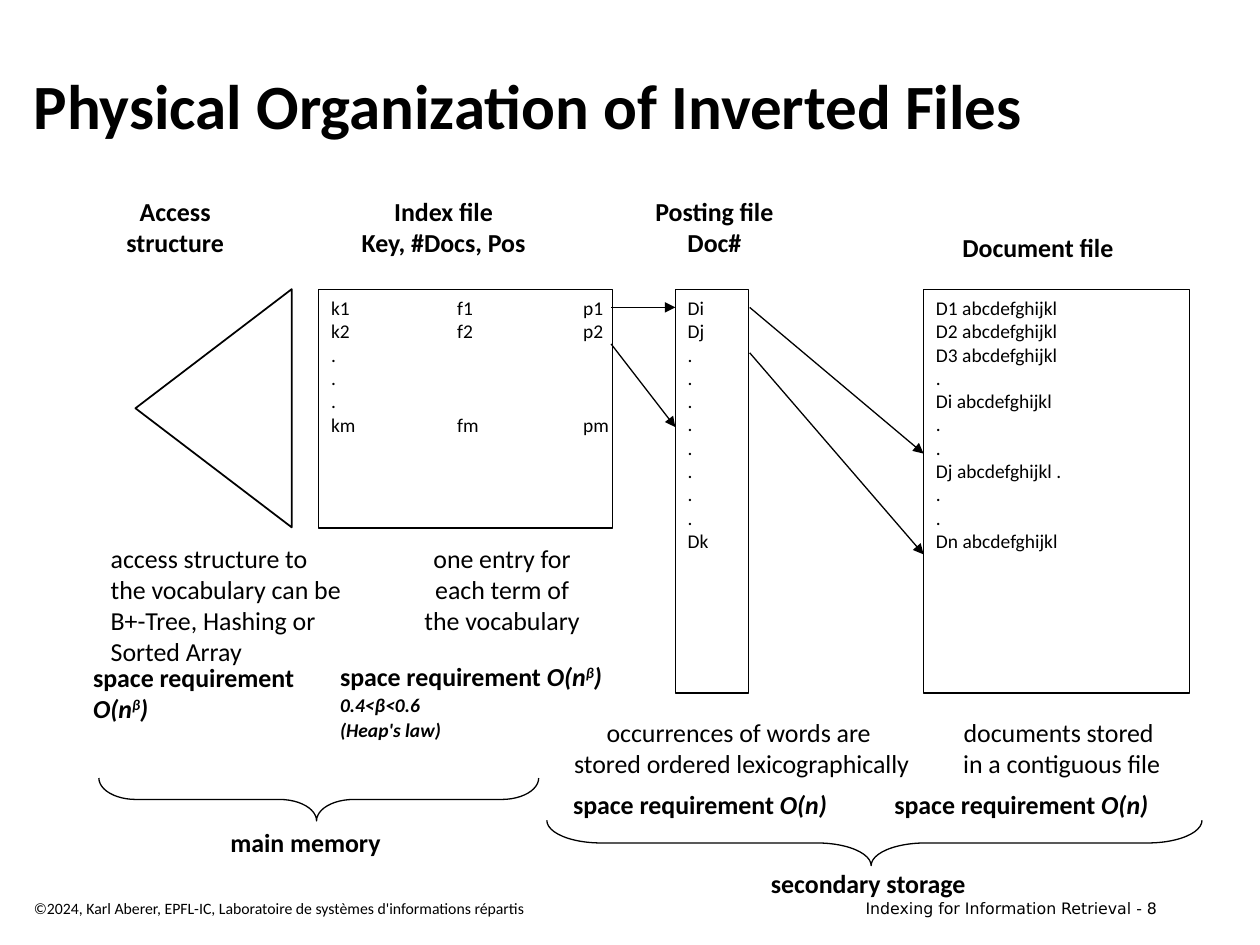
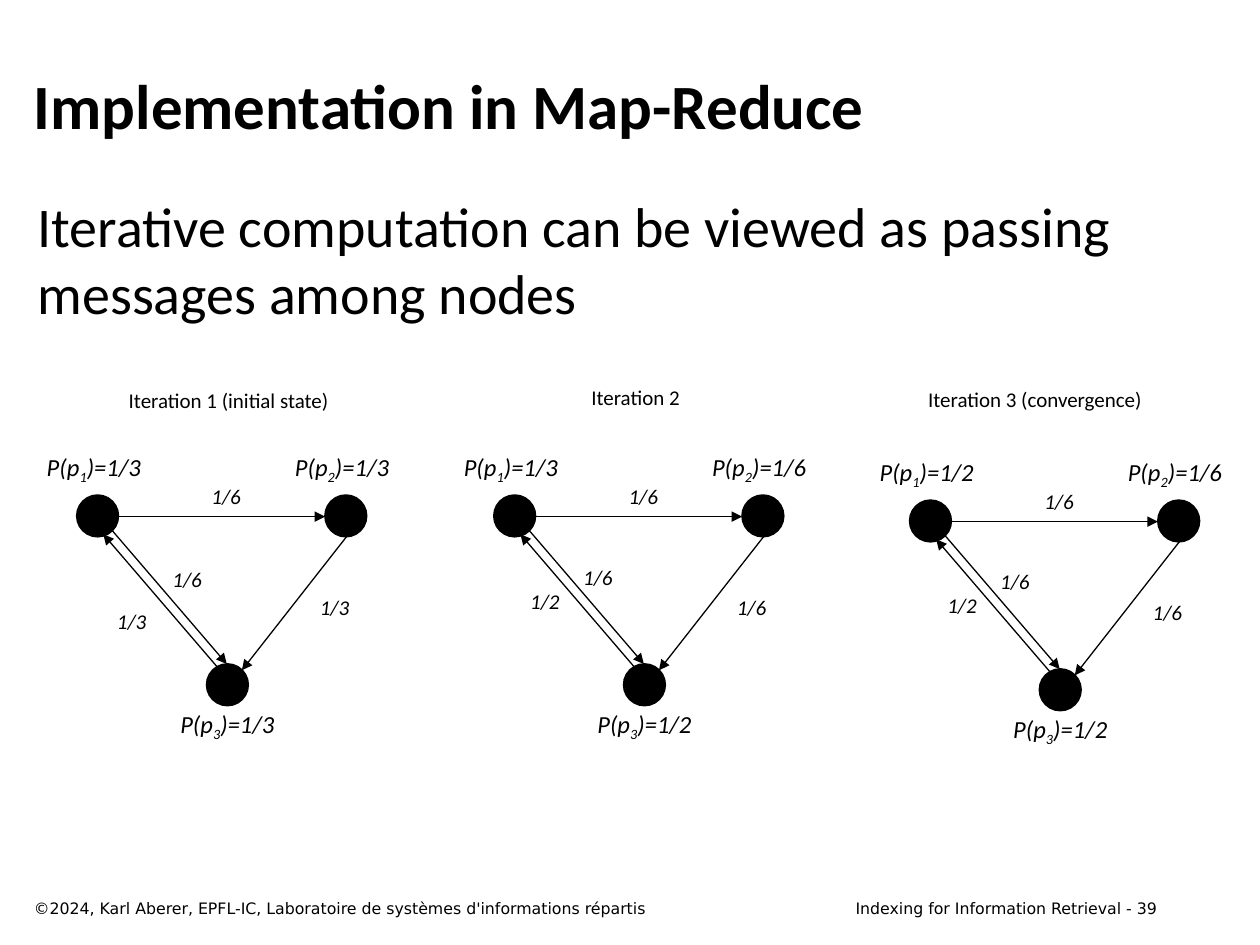
"""Build two slides on inverted file organization and iterative map-reduce."""
import pptx
import pptx.dml.color
import pptx.enum.shapes
import pptx.enum.text
import pptx.oxml
import pptx.oxml.ns
import pptx.util

Inches = pptx.util.Inches
Pt = pptx.util.Pt
SHAPE = pptx.enum.shapes.MSO_SHAPE
LEFT, CENTER, RIGHT = (pptx.enum.text.PP_ALIGN.LEFT, pptx.enum.text.PP_ALIGN.CENTER,
                       pptx.enum.text.PP_ALIGN.RIGHT)
TOP, MIDDLE = pptx.enum.text.MSO_ANCHOR.TOP, pptx.enum.text.MSO_ANCHOR.MIDDLE
FIT = pptx.enum.text.MSO_AUTO_SIZE.SHAPE_TO_FIT_TEXT
FIXED = pptx.enum.text.MSO_AUTO_SIZE.NONE
NAMESPACE = pptx.oxml.ns.nsdecls("a")

COLORS = {"ink": "000000"}
INK = pptx.dml.color.RGBColor.from_string(COLORS["ink"])
TEXT, SYSTEM = "Calibri", "DejaVu Sans"
TITLE = {"size": Pt(36), "bold": True}
BODY = {"size": Pt(32)}
HEADING = {"size": Pt(14.8), "bold": True}
NOTE = {"size": Pt(14.8)}
ENTRY = {"size": Pt(11.1)}
STATE = {"size": Pt(14), "italic": True}
WEIGHT = {"size": Pt(12), "italic": True}
CAPTION = {"size": Pt(12)}
ITALIC = {"italic": True}
SUPERSCRIPT = {"italic": True, "baseline": 30000}
SMALL = {"italic": True, "size": Pt(11.1)}


def write(frame, paragraphs, font, align=LEFT, wrap=False, fit=FIT, anchor=TOP, spacing=None,
          columns=()):
    frame_format = {"word_wrap": wrap, "auto_size": fit, "vertical_anchor": anchor}
    for name, value in frame_format.items():
        setattr(frame, name, value)
    for index, runs in enumerate(paragraphs):
        paragraph = frame.paragraphs[0] if index == 0 else frame.add_paragraph()
        paragraph.alignment = align
        paragraph.line_spacing = spacing
        if spacing and index:
            paragraph.space_before = Pt(2.2)
        if columns:
            stops = "".join(f'<a:tab pos="{Inches(stop)}" algn="l"/>' for stop in columns)
            paragraph._p.get_or_add_pPr().append(
                pptx.oxml.parse_xml(f"<a:tabLst {NAMESPACE}>{stops}</a:tabLst>"))
        for words, changes in [(runs, {})] if isinstance(runs, str) else runs:
            run = paragraph.add_run()
            run.text = words
            run.font.color.rgb = INK
            for name, value in ({"name": TEXT} | font | changes).items():
                if name == "baseline":
                    run.font._element.set(name, str(value))
                else:
                    setattr(run.font, name, value)


def add_arrow(slide, start, end):
    arrow = slide.shapes.add_connector(
        pptx.enum.shapes.MSO_CONNECTOR.STRAIGHT, *map(Inches, start + end))
    arrow.line.color.rgb = INK
    arrow.line.width = Pt(0.75)
    arrow.line._get_or_add_ln().append(
        pptx.oxml.parse_xml(f'<a:tailEnd {NAMESPACE} type="triangle"/>'))
    arrow._element.spPr.append(pptx.oxml.parse_xml(f"<a:effectLst {NAMESPACE}/>"))


deck = pptx.Presentation()
deck.slide_width, deck.slide_height = Inches(10), Inches(7.5)
slides = []
for title, number, copyright_font in [
    ("Physical Organization of Inverted Files", 8, TEXT),
    ("Implementation in Map-Reduce", 39, SYSTEM),
]:
    slide = deck.slides.add_slide(deck.slide_layouts[6])
    slides.append(slide)
    copyright_line = "©2024, Karl Aberer, EPFL-IC, Laboratoire de systèmes d'informations répartis"
    for box, words, font, align, anchor in [
        ((0.17, 0.33, 9.08, 1), title, TITLE, LEFT, MIDDLE),
        ((0.17, 7.08, 6.42, 0.25), copyright_line,
         {"size": Pt(9), "name": copyright_font}, LEFT, TOP),
        ((6.37, 7.08, 2.91, 0.25), f"Indexing for Information Retrieval - {number}",
         {"size": Pt(9), "name": SYSTEM}, RIGHT, TOP),
    ]:
        label = slide.shapes.add_textbox(*map(Inches, box))
        write(label.text_frame, [words], font, align, wrap=True, fit=FIXED, anchor=anchor)
files_slide, reduce_slide = slides

index_entries = ["k1\tf1\tp1", "k2\tf2\tp2", ".", ".", ".", "km\tfm\tpm"]
postings = ["Di", "Dj"] + ["."] * 8 + ["Dk"]
documents = ["D1 abcdefghijkl", "D2 abcdefghijkl", "D3 abcdefghijkl", ".", "Di abcdefghijkl",
             ".", ".", "Dj abcdefghijkl .", ".", ".", "Dn abcdefghijkl"]
for preset, box, entries, columns, width, rotation, adjustments in [
    (SHAPE.RECTANGLE, (2.53, 2.3, 2.33, 1.89), index_entries, (1, 2), 0.75, 0, []),
    (SHAPE.RECTANGLE, (5.36, 2.3, 0.58, 3.2), postings, (), 0.75, 0, []),
    (SHAPE.RECTANGLE, (7.33, 2.3, 2.11, 3.2), documents, (), 0.75, 0, []),
    (SHAPE.ISOSCELES_TRIANGLE, (0.75, 2.62, 1.89, 1.24), [], (), 1, 270, [0.5]),
    (SHAPE.LEFT_BRACE, (2.36, 4.6, 0.34, 3.49), [], (), 0.75, 270, [0.863, 0.495]),
    (SHAPE.LEFT_BRACE, (6.76, 4.09, 0.36, 5.2), [], (), 0.75, 270, [1.196, 0.495]),
]:
    part = files_slide.shapes.add_shape(preset, *map(Inches, box))
    part.shadow.inherit = False
    part.fill.background()
    part.line.color.rgb = INK
    part.line.width = Pt(width)
    part.rotation = rotation
    for index, value in enumerate(adjustments):
        part.adjustments[index] = value
    if entries:
        write(part.text_frame, entries, ENTRY, fit=FIXED, columns=columns)

for start, end in [
    ((4.85, 2.44), (5.36, 2.44)),
    ((4.85, 2.73), (5.36, 3.39)),
    ((5.95, 2.44), (7.33, 3.6)),
    ((5.95, 2.8), (7.33, 4.4)),
]:
    add_arrow(files_slide, start, end)

for box, lines, font, align, wrap in [
    ((0.79, 1.5, 1.2, 0.59), ["Access", "structure"], HEADING, CENTER, False),
    ((2.77, 1.5, 1.5, 0.59), ["Index file", "Key, #Docs, Pos"], HEADING, CENTER, False),
    ((4.88, 1.5, 1.58, 0.59), ["Posting file", "Doc#"], HEADING, CENTER, True),
    ((7.54, 1.79, 1.4, 0.34), ["Document file"], HEADING, LEFT, False),
    ((0.78, 4.26, 2.18, 1.09),
     ["access structure to", "the vocabulary can be B+-Tree, Hashing or Sorted Array"],
     NOTE, LEFT, True),
    ((3.26, 4.26, 1.45, 0.85), ["one entry for", "each term of", "the vocabulary"],
     NOTE, CENTER, False),
    ((4.44, 5.64, 2.89, 0.6),
     ["occurrences of words are ", "stored ordered lexicographically"], NOTE, CENTER, False),
    ((7.53, 5.64, 1.79, 0.6), ["documents stored ", "in a contiguous file"],
     NOTE, CENTER, False),
    ((1.73, 6.51, 1.45, 0.35), ["main memory"], HEADING, LEFT, False),
    ((6.02, 6.84, 1.81, 0.35), ["secondary storage"], HEADING, LEFT, False),
]:
    label = files_slide.shapes.add_textbox(*map(Inches, box))
    write(label.text_frame, lines, font, align, wrap)

sublinear = [("O(n", ITALIC), ("β", SUPERSCRIPT), (")", ITALIC)]
requirement = ("space requirement ", {})
linear = [[requirement, ("O(n)", ITALIC)]]
heaps_law = [[requirement] + sublinear, [("0.4<β<0.6", SMALL)], [("(Heap's law)", SMALL)]]
for box, lines, spacing in [
    ((0.64, 5.2, 1.85, 0.6), ["space requirement", sublinear], None),
    ((2.6, 5.22, 2.31, 0.74), heaps_law, 0.9),
    ((4.45, 6.24, 2.23, 0.33), linear, 0.9),
    ((7, 6.24, 2.23, 0.33), linear, 0.9),
]:
    label = files_slide.shapes.add_textbox(*map(Inches, box))
    write(label.text_frame, lines, HEADING, spacing=spacing)

statement = reduce_slide.shapes.add_textbox(*map(Inches, (0.2, 1.47, 9.08, 5.5)))
write(statement.text_frame,
      ["Iterative computation can be viewed as passing messages among nodes"],
      BODY, wrap=True, fit=FIXED)

nodes = [(0, 0), (1.97, 0), (1.03, 1.34)]
state_places = [(-0.35, -0.39), (1.62, -0.39), (0.71, 1.65)]
messages = [
    ((0.33, 0.17), (1.97, 0.17)),
    ((0.28, 0.28), (1.19, 1.34)),
    ((2.14, 0.33), (1.31, 1.39)),
    ((1.12, 1.37), (0.21, 0.31)),
]
for caption, caption_place, (left, top), states, weights in [
    ("Iteration 1 (initial state)", (0.78, 3.03), (0.61, 3.93), ["1/3", "1/3", "1/3"],
     [("1/6", 0.88, -0.14), ("1/6", 0.57, 0.52), ("1/3", 1.74, 0.74), ("1/3", 0.13, 0.85)]),
    ("Iteration 2", (4.01, 3), (3.92, 3.93), ["1/3", "1/6", "1/2"],
     [("1/6", 0.88, -0.14), ("1/6", 0.52, 0.5), ("1/6", 1.74, 0.74), ("1/2", 0.1, 0.69)]),
    ("Iteration 3 (convergence)", (7.18, 3.02), (7.22, 3.97), ["1/2", "1/6", "1/2"],
     [("1/6", 0.88, -0.14), ("1/6", 0.53, 0.49), ("1/6", 1.74, 0.74), ("1/2", 0.11, 0.68)]),
]:
    heading = reduce_slide.shapes.add_textbox(*map(Inches, caption_place + (2.07, 0.3)))
    write(heading.text_frame, [caption], CAPTION, CENTER, wrap=True)
    for x, y in nodes:
        node = reduce_slide.shapes.add_shape(
            SHAPE.OVAL, *map(Inches, (left + x, top + y, 0.33, 0.33)))
        node.shadow.inherit = False
        node.fill.solid()
        node.fill.fore_color.rgb = INK
        node.line.color.rgb = INK
        node.line.width = Pt(1)
    for (x1, y1), (x2, y2) in messages:
        add_arrow(reduce_slide, (left + x1, top + y1), (left + x2, top + y2))
    for number, (value, (x, y)) in enumerate(zip(states, state_places), 1):
        state = reduce_slide.shapes.add_textbox(
            *map(Inches, (left + x, top + y, 0.97, 0.34)))
        probability = [("P(p", {}), (str(number), {"baseline": -25000}), (f")={value}", {})]
        write(state.text_frame, [probability], STATE, CENTER)
    for value, x, y in weights:
        weight = reduce_slide.shapes.add_textbox(
            *map(Inches, (left + x, top + y, 0.61, 0.3)))
        write(weight.text_frame, [value], WEIGHT, CENTER, wrap=True)

deck.save("out.pptx")
